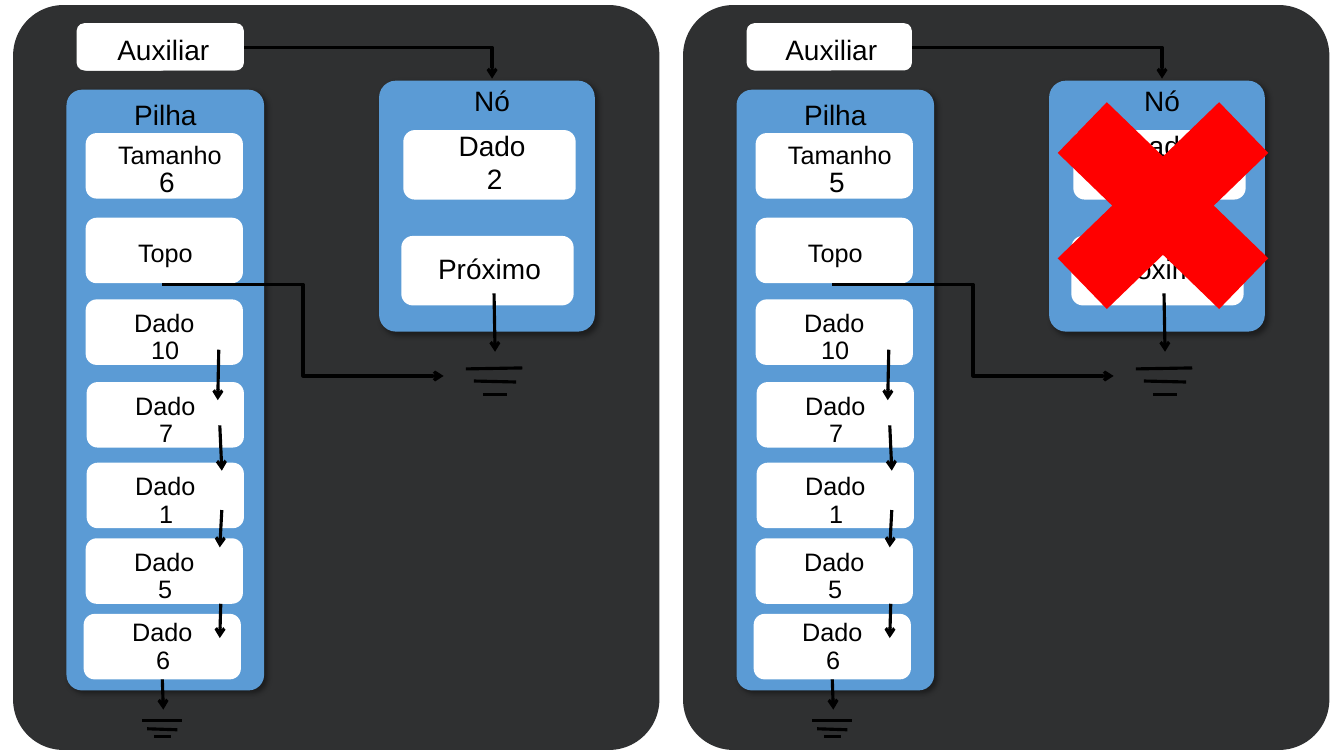
from dataclasses import dataclass
from typing import Any

import pptx
import pptx.dml.color
import pptx.enum.shapes
import pptx.enum.text
import pptx.oxml
import pptx.oxml.ns
import pptx.util
from pptx.util import Inches

SHAPES = pptx.enum.shapes.MSO_SHAPE
CONNECTORS = pptx.enum.shapes.MSO_CONNECTOR
ALIGN = pptx.enum.text.PP_ALIGN


@dataclass(frozen=True)
class Theme:
    panel: str = "2F3031"
    block: str = "5B9BD5"
    card: str = "FFFFFF"
    ink: str = "000000"
    cross: str = "FF0000"
    font: str = "Arial"
    large: int = 20
    small: int = 18
    stroke: float = 2.25
    corner: float = 0.078


@dataclass(frozen=True)
class Area:
    shapes: Any
    shift: float

    def group(self):
        return Area(self.shapes.add_group_shape().shapes, self.shift)


THEME = Theme()
PANEL_STEP = 6.645
STACK_NODES = [
    ("10", 0.85, 2.97, 0.55, 0),
    ("7", 0.86, 3.79, 0.62, 0),
    ("1", 0.86, 4.59, 0.62, 0),
    ("5", 0.85, 5.34, 0.62, 0),
    ("6", 0.83, 6.09, 0.62, -0.05),
]
STACK_ARROWS = [
    ((2.18, 4.22), (2.2, 4.67)),
    ((2.2, 5.06), (2.18, 5.43)),
    ((1.61, 6.74), (1.62, 7.04)),
    ((2.19, 5.99), (2.18, 6.33)),
    ((2.17, 3.47), (2.16, 3.97)),
]
STACK_GROUND = [
    ((1.41, 7.15), (1.81, 7.15)),
    ((1.46, 7.23), (1.76, 7.24)),
    ((1.53, 7.31), (1.7, 7.31)),
]
NODE_GROUND = [
    ((4.62, 3.66), (5.18, 3.65)),
    ((4.7, 3.78), (5.12, 3.79)),
    ((4.79, 3.91), (5.03, 3.91)),
]


def apply_format(target, values):
    for name, value in values.items():
        setattr(target, name, value)


def rgb(color):
    return pptx.dml.color.RGBColor.from_string(color)


def add_xml(parent, tag, content="", **attributes):
    listed = " ".join(f'{name}="{value}"' for name, value in attributes.items())
    namespace = pptx.oxml.ns.nsdecls("a")
    parent.append(pptx.oxml.parse_xml(f"<a:{tag} {namespace} {listed}>{content}</a:{tag}>"))


def add_shape(area, kind, left, top, width, height, color, corner=None):
    shape = area.shapes.add_shape(
        kind, Inches(left + area.shift), Inches(top), Inches(width), Inches(height))
    shape.shadow.inherit = False
    shape.fill.solid()
    shape.fill.fore_color.rgb = rgb(color)
    shape.line.fill.background()
    if corner is not None:
        shape.adjustments[0] = corner
    return shape


def add_card(area, left, top, width=1.56, height=0.65):
    add_shape(area, SHAPES.ROUNDED_RECTANGLE, left, top, width, height, THEME.card)


def add_block(area, left, top, width, height):
    block = add_shape(area, SHAPES.ROUNDED_RECTANGLE, left, top, width, height,
                      THEME.block, THEME.corner)
    effects = block._element.spPr.find(pptx.oxml.ns.qn("a:effectLst"))
    shade = f'<a:srgbClr val="{THEME.ink}"><a:alpha val="40000"/></a:srgbClr>'
    add_xml(effects, "outerShdw", shade, blurRad=50800, dist=38100,
            dir=2700000, algn="tl", rotWithShape=0)


def add_label(area, text, left, top, width, size, align=ALIGN.CENTER):
    height = 0.44 if size == THEME.large else 0.4
    label = area.shapes.add_textbox(
        Inches(left + area.shift), Inches(top), Inches(width), Inches(height))
    frame = label.text_frame
    apply_format(frame, {
        "word_wrap": True,
        "auto_size": pptx.enum.text.MSO_AUTO_SIZE.SHAPE_TO_FIT_TEXT,
        "text": text,
    })
    paragraph = frame.paragraphs[0]
    paragraph.alignment = align
    font = paragraph.runs[0].font
    apply_format(font, {"name": THEME.font, "size": pptx.util.Pt(size)})
    font.color.rgb = rgb(THEME.ink)


def add_line(area, start, end, arrow=True, preset=None):
    kind = CONNECTORS.ELBOW if preset else CONNECTORS.STRAIGHT
    line = area.shapes.add_connector(
        kind, Inches(start[0] + area.shift), Inches(start[1]),
        Inches(end[0] + area.shift), Inches(end[1]))
    line.line.width = pptx.util.Pt(THEME.stroke)
    line.line.color.rgb = rgb(THEME.ink)
    properties = line._element.spPr
    if preset:
        properties.find(pptx.oxml.ns.qn("a:prstGeom")).set("prst", preset)
    if arrow:
        add_xml(line.line._get_or_add_ln(), "tailEnd", type="arrow")
    add_xml(properties, "effectLst")


def add_ground(area, bars):
    ground = area.group()
    for start, end in bars:
        add_line(ground, start, end, arrow=False)


def add_stack(area, size):
    stack = area.group()
    add_block(stack, 0.66, 0.89, 1.96, 5.96)
    add_label(stack, "Pilha", 1.19, 0.92, 0.9, THEME.large)
    add_card(stack, 0.85, 1.32)
    add_label(stack, "Tamanho", 1, 1.33, 1.37, THEME.small)
    add_label(stack, size, 1.48, 1.58, 0.31, THEME.large, ALIGN.LEFT)
    add_card(stack, 0.85, 2.16)
    add_label(stack, "Topo", 1.1, 2.31, 1.08, THEME.small)
    for value, left, top, indent, lift in STACK_NODES:
        add_card(stack, left, top)
        add_label(stack, "Dado", left + 0.24, top + 0.03 + lift, 1.08, THEME.small)
        add_label(stack, value, left + indent, top + 0.3 + lift,
                  0.57 if len(value) > 1 else 0.33, THEME.small, ALIGN.LEFT)
    for start, end in STACK_ARROWS:
        add_line(stack, start, end)


def add_node(area, value):
    node = area.group()
    add_block(node, 3.76, 0.8, 2.14, 2.49)
    add_card(node, 4, 1.29, 1.71, 0.69)
    add_label(node, "Nó", 4.39, 0.78, 0.98, THEME.large)
    add_label(node, "Dado", 4.29, 1.23, 1.18, THEME.large)
    add_card(node, 3.98, 2.34, 1.71, 0.69)
    add_label(node, "Próximo", 4.21, 2.45, 1.29, THEME.large)
    if value:
        add_label(node, value, 4.73, 1.55, 0.32, THEME.large, ALIGN.LEFT)
    add_line(area, (4.9, 2.91), (4.91, 3.49))


def add_auxiliary(area, left):
    add_card(area, left, 0.23, 1.64, 0.47)
    add_label(area, "Auxiliar", left + 0.14, 0.27, 1.4, THEME.large)


def add_panel(area, size, value):
    add_shape(area, SHAPES.ROUNDED_RECTANGLE, 0.13, 0.05, 6.41, 7.39,
              THEME.panel, THEME.corner)
    add_ground(area, STACK_GROUND)
    add_stack(area, size)
    add_ground(area, NODE_GROUND)
    add_node(area, value)
    add_line(area, (2.39, 0.47), (4.88, 0.78), preset="bentConnector2")
    add_auxiliary(area, 0.76)
    add_line(area, (1.61, 2.82), (4.4, 3.73), preset="bentConnector3")


def main():
    deck = pptx.Presentation()
    apply_format(deck, {"slide_width": Inches(13.33), "slide_height": Inches(7.5)})
    slide = deck.slides.add_slide(deck.slide_layouts[6])
    before = Area(slide.shapes, 0)
    after = Area(slide.shapes, PANEL_STEP)
    add_panel(before, "6", "2")
    add_panel(after, "5", None)
    add_shape(after, SHAPES.MATH_MULTIPLY, 3.35, 0.55, 3.08, 2.98, THEME.cross)
    add_auxiliary(before, 0.78)
    deck.save("out.pptx")


if __name__ == "__main__":
    main()
